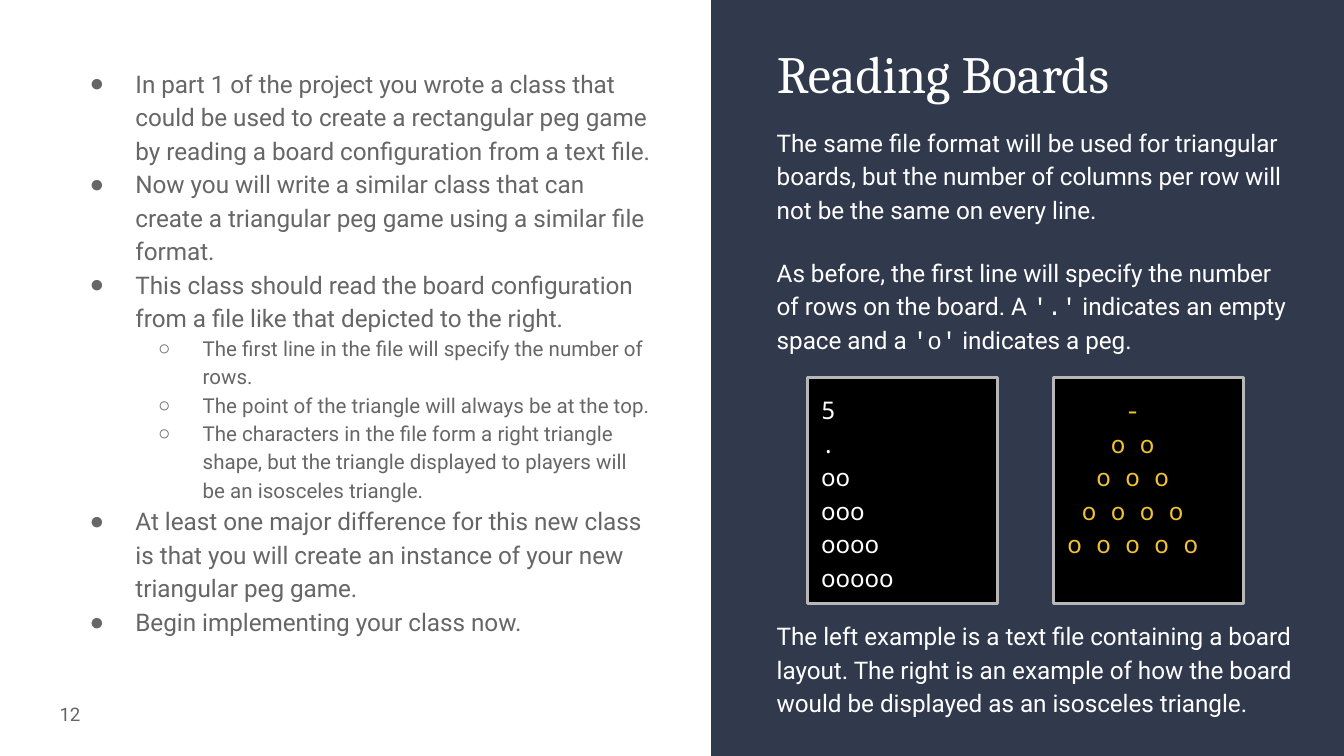
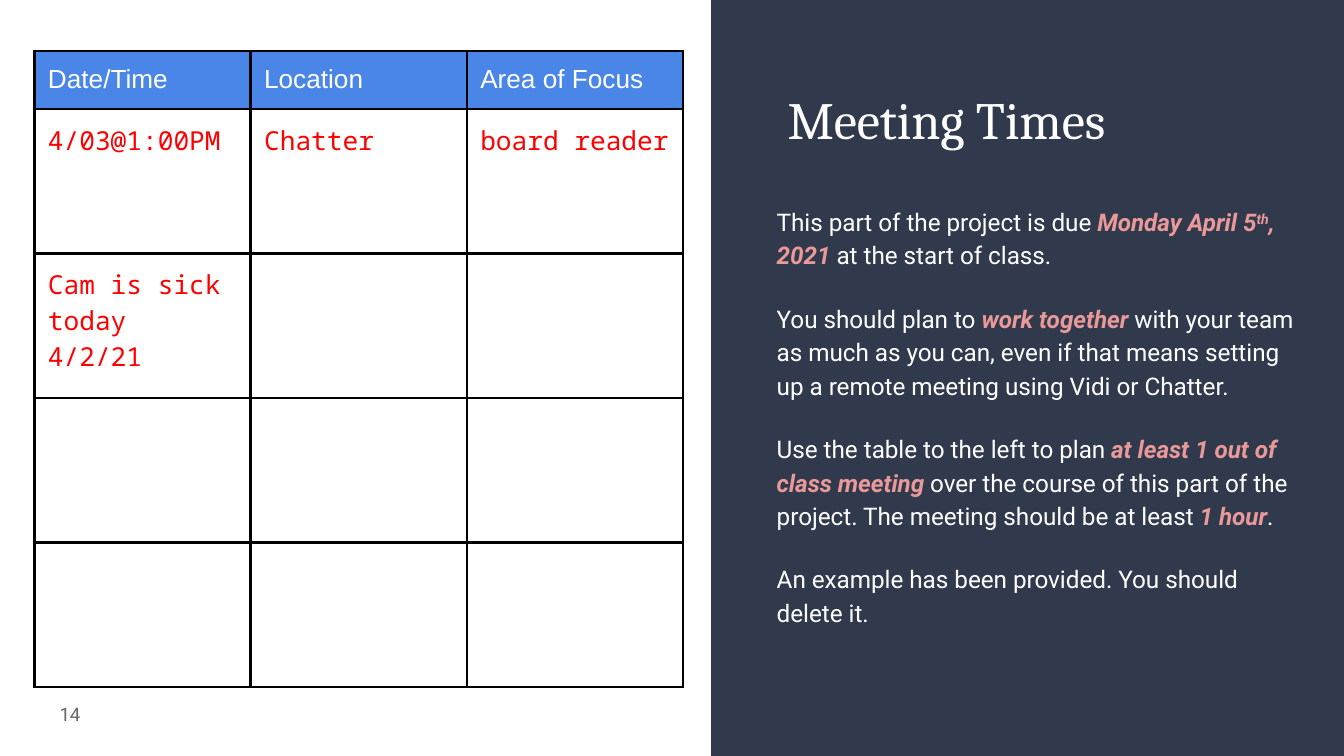
from lxml import etree
from pptx import Presentation
from pptx.dml.color import RGBColor
from pptx.enum.shapes import MSO_SHAPE
from pptx.enum.text import MSO_ANCHOR, MSO_AUTO_SIZE, PP_ALIGN
from pptx.oxml.ns import qn
from pptx.util import Pt

RECTANGLE = MSO_SHAPE.RECTANGLE
TOP, MIDDLE = MSO_ANCHOR.TOP, MSO_ANCHOR.MIDDLE
LEFT, CENTER, RIGHT = PP_ALIGN.LEFT, PP_ALIGN.CENTER, PP_ALIGN.RIGHT
NO_AUTOFIT = MSO_AUTO_SIZE.NONE

SLIDE_WIDTH, SLIDE_HEIGHT = 720, 405
PANEL_LEFT = 381
COLUMN_LEFT, COLUMN_WIDTH = 409, 291.6
INSET = 7.2

WHITE, BLACK, NAVY, GRAY = "FFFFFF", "000000", "31394D", "666666"
SILVER, GOLD, BLUE, RED, PINK = "B7B7B7", "F1C232", "4A86E8", "FF0000", "EA9999"
HEADING, BODY, PLAIN = "Cambria", "Roboto", "Arial"
MONO, CODE = "Noto Sans Mono", "Courier New"

QUOTED = {"font": CODE}
EMPHASIS = {"color": PINK, "bold": True, "italic": True}
RAISED = {**EMPHASIS, "baseline": 30000}

# Reading Boards
TASKS = [
    (0, "In part 1 of the project you wrote a class that could be used to create a "
        "rectangular peg game by reading a board configuration from a text file."),
    (0, "Now you will write a similar class that can create a triangular peg game "
        "using a similar file format."),
    (0, "This class should read the board configuration from a file like that "
        "depicted to the right."),
    (1, "The first line in the file will specify the number of rows."),
    (1, "The point of the triangle will always be at the top."),
    (1, "The characters in the file form a right triangle shape, but the triangle "
        "displayed to players will be an isosceles triangle."),
    (0, "At least one major difference for this new class is that you will create an "
        "instance of your new triangular peg game."),
    (0, "Begin implementing your class now."),
]
FILE_FORMAT = [
    "The same file format will be used for triangular boards, but the number of "
    "columns per row will not be the same on every line.",
    ["As before, the first line will specify the number of rows on the board. A ",
     ("'.'", QUOTED), " indicates an empty space and a ", ("'o'", QUOTED),
     " indicates a peg."],
]
BOARD_FILE = ["5", ".", "oo", "ooo", "oooo", "ooooo"]
BOARD_DISPLAY = ["-", "o o", "o o o", "o o o o", "o o o o o"]
EXAMPLES = ["The left example is a text file containing a board layout. The right is an "
            "example of how the board would be displayed as an isosceles triangle."]

# Meeting Times
MEETING_NOTES = [
    ["This part of the project is due ", ("Monday April 5", EMPHASIS), ("th", RAISED),
     (", 2021", EMPHASIS), " at the start of class."],
    ["You should plan to ", ("work together ", EMPHASIS),
     "with your team as much as you can, even if that means setting up a remote "
     "meeting using Vidi or Chatter."],
    ["Use the table to the left to plan ", ("at least 1 out of class meeting ", EMPHASIS),
     "over the course of this part of the project. The meeting should be at least ",
     ("1 hour", EMPHASIS), "."],
    "An example has been provided. You should delete it.",
]
MEETINGS = [
    [["Date/Time"], ["Location"], ["Area of Focus"]],
    [["4/03@1:00PM"], ["Chatter"], ["board reader"]],
    [["Cam is sick today", "4/2/21"], [], []],
    [[], [], []],
    [[], [], []],
]

# level: (bullet, text size, left margin, hanging indent)
BULLET_LEVELS = [("●", 13, 36, 24.5), ("○", 11, 72, 23.8)]


def rgb(color):
    return RGBColor.from_string(color)


def add_run(paragraph, text, font=BODY, size=13, color=WHITE, bold=False, italic=False,
            baseline=None):
    run = paragraph.add_run()
    run.text = text
    run.font.name, run.font.size = font, Pt(size)
    run.font.bold, run.font.italic = bold, italic
    run.font.color.rgb = rgb(color)
    if baseline:
        run._r.get_or_add_rPr().set("baseline", str(baseline))


def write(frame, paragraphs, align=LEFT, spacing=1.15, gap=0, **style):
    """Fill a text frame; a paragraph is a string or a list of strings and (text, style)."""
    for index, parts in enumerate(paragraphs):
        paragraph = frame.add_paragraph() if index else frame.paragraphs[0]
        paragraph.alignment, paragraph.line_spacing = align, spacing
        paragraph.space_before = Pt(gap if index else 0)
        for part in [parts] if isinstance(parts, str) else parts:
            text, extra = (part, {}) if isinstance(part, str) else part
            add_run(paragraph, text, **{**style, **extra})


def prepare_frame(shape, anchor=TOP, right_inset=INSET, bottom_inset=INSET):
    frame = shape.text_frame
    frame.word_wrap, frame.auto_size = True, NO_AUTOFIT
    frame.vertical_anchor = anchor
    frame.margin_left = frame.margin_top = Pt(INSET)
    frame.margin_right, frame.margin_bottom = Pt(right_inset), Pt(bottom_inset)
    return frame


def add_text(slide, left, top, width, height, paragraphs, anchor=TOP, **style):
    box = slide.shapes.add_textbox(Pt(left), Pt(top), Pt(width), Pt(height))
    frame = prepare_frame(box, anchor)
    write(frame, paragraphs, **style)
    return frame


def add_rectangle(slide, left, top, width, height, fill, line=None):
    shape = slide.shapes.add_shape(RECTANGLE, Pt(left), Pt(top), Pt(width), Pt(height))
    shape.shadow.inherit = False
    shape.fill.solid()
    shape.fill.fore_color.rgb = rgb(fill)
    if line:
        shape.line.color.rgb = rgb(line)
        shape.line.width = Pt(1.5)
    else:
        shape.line.fill.background()
    return shape


def add_slide(presentation, title, title_left, title_top, number):
    """Add a slide with the navy panel, its title and the slide number."""
    slide = presentation.slides.add_slide(presentation.slide_layouts[5])
    placeholder = slide.shapes.title
    placeholder.left, placeholder.top = Pt(title_left), Pt(title_top)
    placeholder.width, placeholder.height = Pt(COLUMN_WIDTH), Pt(50.4)
    write(prepare_frame(placeholder), [title], spacing=1.0, font=HEADING, size=28)
    panel = add_rectangle(slide, PANEL_LEFT, 0, SLIDE_WIDTH - PANEL_LEFT, SLIDE_HEIGHT, NAVY)
    placeholder.element.addprevious(panel.element)
    add_text(slide, 7, 367.2, 43.2, 31, [number], anchor=MIDDLE, align=RIGHT, spacing=1.0,
             size=10, color=GRAY)
    return slide


def add_bullet(paragraph, bullet, margin, hanging):
    properties = paragraph._p.get_or_add_pPr()
    properties.set("marL", str(Pt(margin)))
    properties.set("indent", str(-Pt(hanging)))
    color = etree.SubElement(properties, qn("a:buClr"))
    etree.SubElement(color, qn("a:srgbClr"), val=GRAY)
    etree.SubElement(properties, qn("a:buFont"), typeface=PLAIN)
    etree.SubElement(properties, qn("a:buChar"), char=bullet)


def add_tasks(slide):
    paragraphs = [[(text, {"size": BULLET_LEVELS[level][1]})] for level, text in TASKS]
    frame = add_text(slide, 29.5, 27.4, 328.3, 321.8, paragraphs, color=GRAY)
    for paragraph, (level, _) in zip(frame.paragraphs, TASKS):
        bullet, _, margin, hanging = BULLET_LEVELS[level]
        paragraph.level = level
        add_bullet(paragraph, bullet, margin, hanging)


def add_board(slide, left, rows, color, align=LEFT, right_inset=INSET):
    board = add_rectangle(slide, left, 202.3, 101.5, 121, BLACK, SILVER)
    frame = prepare_frame(board, right_inset=right_inset, bottom_inset=INSET / 2)
    write(frame, rows, align=align, font=MONO, color=color)


def set_borders(cell):
    properties = cell._tc.get_or_add_tcPr()
    for index, side in enumerate(("lnL", "lnR", "lnT", "lnB")):
        line = etree.Element(qn("a:" + side), w=str(Pt(1.5)))
        fill = etree.SubElement(line, qn("a:solidFill"))
        etree.SubElement(fill, qn("a:srgbClr"), val=BLACK)
        properties.insert(index, line)


def add_meetings(slide):
    column_width, header_height, row_height = 115.8, 31, 77.4
    row_count, column_count = len(MEETINGS), len(MEETINGS[0])
    table = slide.shapes.add_table(
        row_count, column_count, Pt(18.5), Pt(27.4), Pt(column_width * column_count),
        Pt(header_height + row_height * (row_count - 1))).table
    table.first_row = table.horz_banding = False
    for column in table.columns:
        column.width = Pt(column_width)
    for row_index, values in enumerate(MEETINGS):
        is_header = row_index == 0
        table.rows[row_index].height = Pt(header_height if is_header else row_height)
        font, color = (PLAIN, WHITE) if is_header else (MONO, RED)
        for column_index, paragraphs in enumerate(values):
            cell = table.cell(row_index, column_index)
            cell.margin_left = cell.margin_right = Pt(INSET)
            cell.margin_top = cell.margin_bottom = Pt(INSET)
            if is_header:
                cell.fill.solid()
                cell.fill.fore_color.rgb = rgb(BLUE)
            else:
                cell.fill.background()
            set_borders(cell)
            write(cell.text_frame, paragraphs, spacing=1.0, font=font, size=14, color=color)


def build_reading_boards(presentation):
    slide = add_slide(presentation, "Reading Boards", COLUMN_LEFT, 15.1, "12")
    add_tasks(slide)
    add_text(slide, COLUMN_LEFT, 59, COLUMN_WIDTH, 136.8, FILE_FORMAT, gap=16)
    add_board(slide, 432.8, BOARD_FILE, WHITE)
    add_text(slide, COLUMN_LEFT, 323.3, COLUMN_WIDTH, 66.2, EXAMPLES)
    add_board(slide, 564.5, BOARD_DISPLAY, GOLD, align=CENTER, right_inset=24)


def build_meeting_times(presentation):
    slide = add_slide(presentation, "Meeting Times", 414.7, 39.6, "14")
    add_text(slide, COLUMN_LEFT, 101.5, COLUMN_WIDTH, 260, MEETING_NOTES, gap=16)
    add_meetings(slide)


def main():
    presentation = Presentation()
    presentation.slide_width, presentation.slide_height = Pt(SLIDE_WIDTH), Pt(SLIDE_HEIGHT)
    build_reading_boards(presentation)
    build_meeting_times(presentation)
    presentation.save("out.pptx")


if __name__ == "__main__":
    main()
